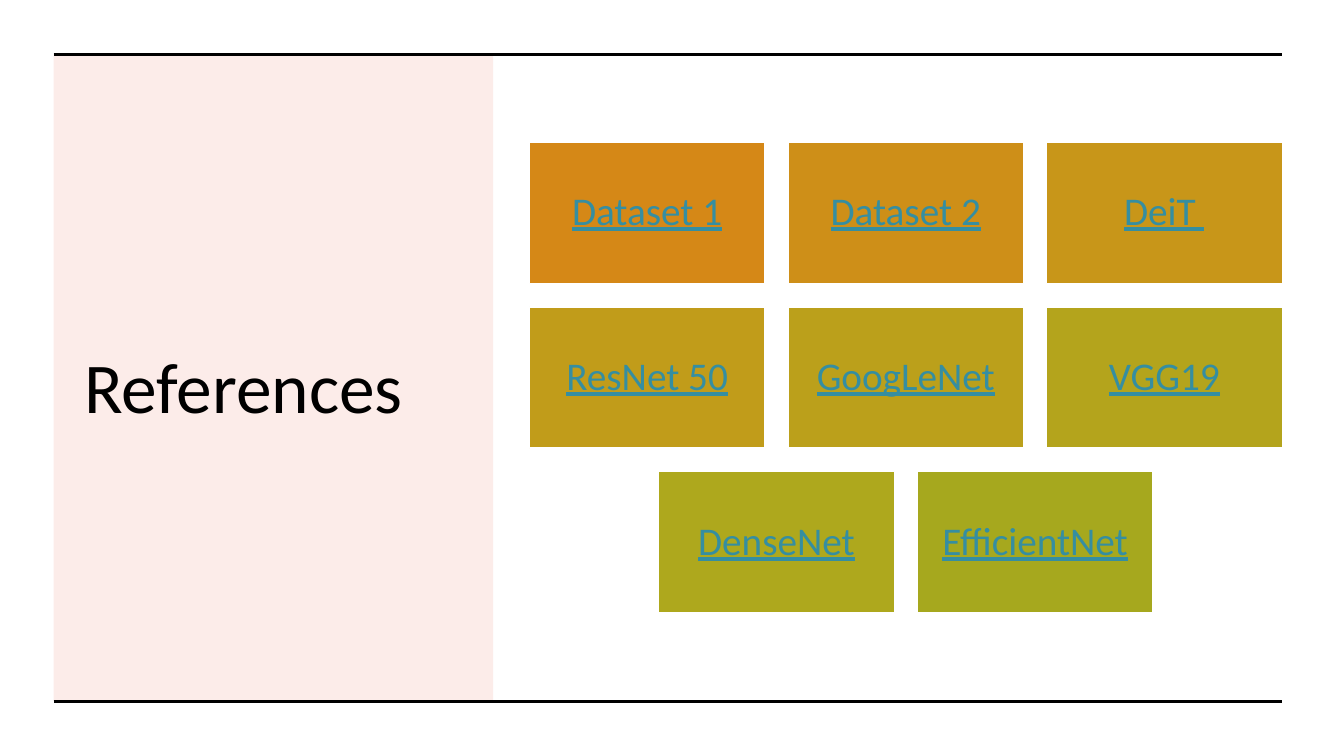
from lxml.etree import SubElement
from pptx import Presentation
from pptx.dml.color import RGBColor
from pptx.enum.shapes import MSO_CONNECTOR as Line, MSO_SHAPE as Shape
from pptx.enum.text import MSO_ANCHOR as Anchor, PP_ALIGN as Align
from pptx.oxml.ns import qn
from pptx.util import Inches, Pt

WIDE, HIGH = 13.33, 7.5


def tint(code):
    return RGBColor.from_string(code)


class Page:
    font = "Calibri"
    ink = "000000"
    link = "358EA1"
    edge = "FFFFFF"

    def __init__(self, deck):
        self.slide = deck.slides.add_slide(deck.slide_layouts[6])
        self.shapes = self.slide.shapes

    def place(self, x, y, w, h):
        return [Inches(share * side / 100)
                for share, side in zip((x, y, w, h), (WIDE, HIGH) * 2)]

    def block(self, area, fill, alpha=None, edge=None):
        box = self.shapes.add_shape(Shape.RECTANGLE, *self.place(*area))
        box.shadow.inherit = False
        box.fill.solid()
        box.fill.fore_color.rgb = tint(fill)
        if alpha:
            color = box._element.spPr.find(".//" + qn("a:srgbClr"))
            SubElement(color, qn("a:alpha"), val=str(alpha * 1000))
        if edge:
            box.line.color.rgb = tint(edge)
            box.line.width = Pt(1)
        else:
            box.line.fill.background()
        return box

    def label(self, box, text, size, color):
        frame = box.text_frame
        frame.word_wrap = True
        frame.vertical_anchor = Anchor.MIDDLE
        para = frame.paragraphs[0]
        para.text = text
        para.font.name = self.font
        para.font.size = Pt(size)
        para.font.color.rgb = tint(color)
        return frame, para

    def title(self, area, text):
        self.label(self.shapes.add_textbox(*self.place(*area)), text, 51, self.ink)

    def tile(self, area, text, fill):
        box = self.block(area, fill, edge=self.edge)
        frame, para = self.label(box, text, 28, self.link)
        frame.margin_left = frame.margin_right = Inches(0.12)
        frame.margin_top = frame.margin_bottom = Inches(0.12)
        para.alignment = Align.CENTER
        para.line_spacing = 0.9
        para.font.underline = True

    def rule(self, left, right, y):
        x, top, end, base = self.place(left, y, right, y)
        line = self.shapes.add_connector(Line.STRAIGHT, x, top, end, base)
        line.line.color.rgb = tint(self.ink)
        line.line.width = Pt(2.25)
        SubElement(line._element.spPr, qn("a:effectLst"))


ROWS = [
    [("Dataset 1", "D58817"), ("Dataset 2", "CE8F18"), ("DeiT ", "C89619")],
    [("ResNet 50", "C19C1A"), ("GoogLeNet", "BBA01B"), ("VGG19", "B4A41C")],
    [("DenseNet", "AEA81D"), ("EfficientNet", "A6A81E")],
]
COLS = 3
LEFT, TOP = 39.38, 18.8
STEP_X, STEP_Y = 19.24, 21.8
TILE_W, TILE_H = 17.55, 18.67


def main():
    deck = Presentation()
    deck.slide_width, deck.slide_height = Inches(WIDE), Inches(HIGH)
    page = Page(deck)
    page.block((4, 7.2, 32.7, 85.5), "E74B29", alpha=10)
    page.title((5.55, 14.27, 29.18, 73.33), "References")
    for y in (7.2, 92.8):
        page.rule(4, 95.4, y)
    for row, tiles in enumerate(ROWS):
        shift = (COLS - len(tiles)) / 2
        for col, (text, fill) in enumerate(tiles):
            x = LEFT + (col + shift) * STEP_X
            page.tile((x, TOP + row * STEP_Y, TILE_W, TILE_H), text, fill)
    deck.save("out.pptx")


if __name__ == "__main__":
    main()
